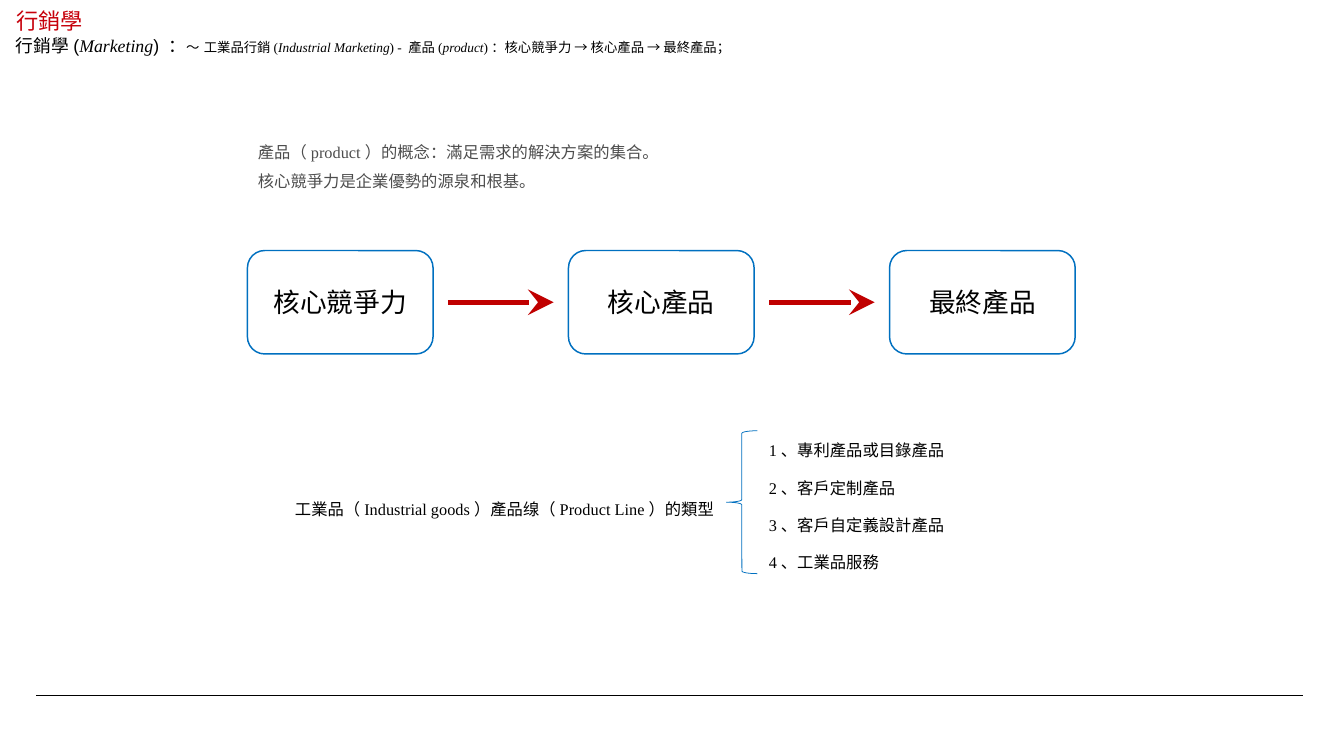
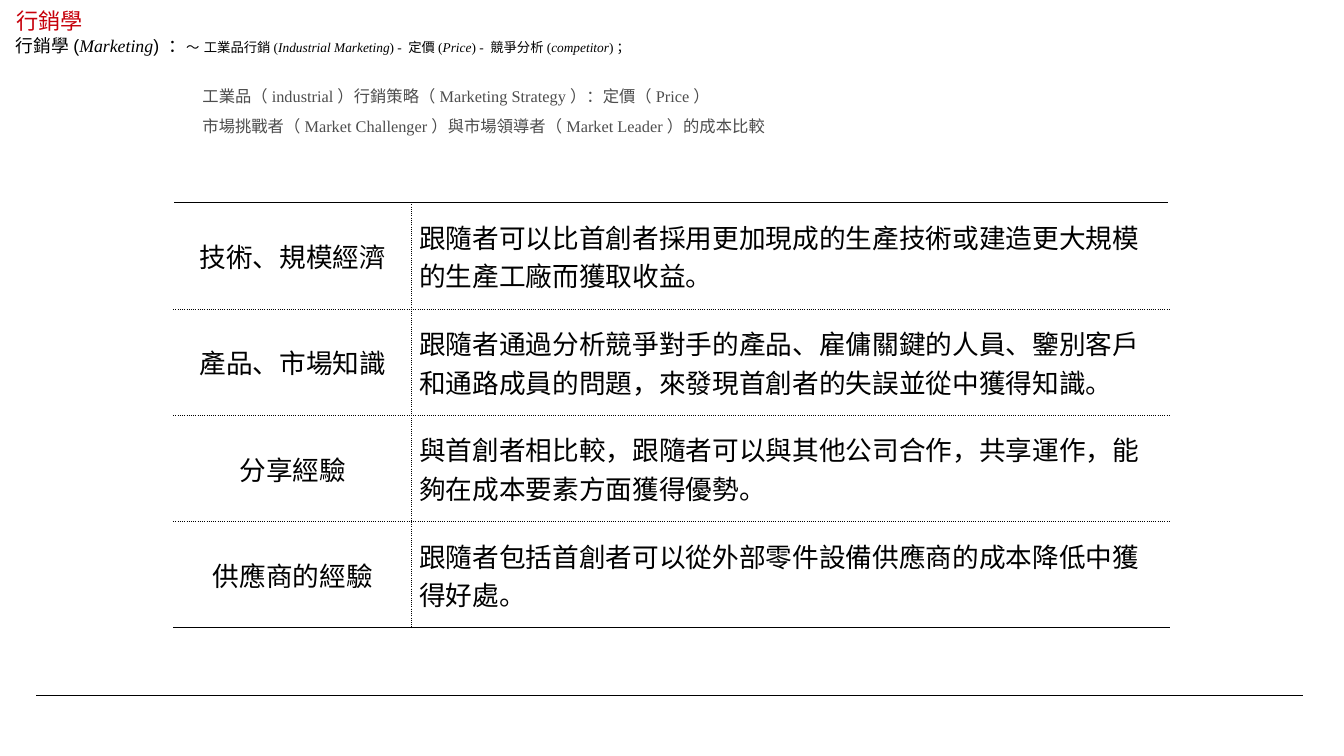
"""Build two marketing slides: a product chain and a cost comparison table."""
from dataclasses import dataclass

from lxml.etree import SubElement
from pptx import Presentation
from pptx.dml.color import RGBColor
from pptx.enum.shapes import MSO_CONNECTOR, MSO_SHAPE
from pptx.enum.text import MSO_ANCHOR, MSO_AUTO_SIZE, PP_ALIGN
from pptx.oxml.ns import qn
from pptx.presentation import Presentation as Deck
from pptx.shapes.autoshape import Shape
from pptx.shapes.connector import Connector
from pptx.slide import Slide
from pptx.table import _Cell as Cell
from pptx.text.text import Font, TextFrame
from pptx.util import Emu, Inches, Pt

COLUMNS, ROWS = 126, 70.9
CELL = Inches(0.1)

COLORS = {
    "title": "C7000B",
    "ink": "000000",
    "note": "4D4D4D",
    "outline": "0070C0",
    "arrow": "C00000",
}
SANS, SERIF, CJK = "Arial", "Times New Roman", "Noto Sans CJK SC"


@dataclass(frozen=True)
class Frame:
    """A rectangle in grid columns and rows."""
    left: float
    top: float
    width: float
    height: float

    @property
    def right(self) -> float:
        return self.left + self.width

    @property
    def middle(self) -> float:
        return self.top + self.height / 2

    def lengths(self) -> tuple[Emu, Emu, Emu, Emu]:
        return (grid(self.left), grid(self.top), grid(self.width), grid(self.height))


@dataclass(frozen=True)
class Span:
    """A run of text with its own font."""
    text: str
    size: float
    face: str
    italic: bool = False


@dataclass(frozen=True)
class Style:
    """The look of whole paragraphs."""
    size: float
    face: str
    color: str = "ink"
    align: PP_ALIGN = PP_ALIGN.LEFT
    spacing: float | None = None


@dataclass(frozen=True)
class Border:
    """One side of a table cell."""
    side: str
    points: float
    dash: str = "solid"


TITLE = Style(15, SANS, "title")
NOTE = Style(11, SERIF, "note", spacing=1.5)
ITEM = Style(11, SERIF, spacing=1.5)
ITEM_CENTERED = Style(11, SERIF, align=PP_ALIGN.CENTER, spacing=1.5)
STAGE = Style(18, CJK, align=PP_ALIGN.CENTER)
BODY = Style(18, CJK)

TITLE_FRAME = Frame(0.5, 0.7, 93.2, 2.4)
TOPIC_FRAME = Frame(0.5, 2.6, 104.3, 3.2)
TOPIC_LEAD = (
    Span("行銷學(", 12, SANS),
    Span("Marketing", 12, SERIF, True),
    Span(") ：", 12, SANS),
    Span("～", 9, SANS),
    Span(" ", 13, SANS),
)

STAGES = ("核心競爭力", "核心產品", "最終產品")
FIRST_STAGE = Frame(23.2, 23.5, 17.4, 9.7)
STAGE_STEP, ARROW_GAP = 30.1, 1.4

PRODUCT_TYPES = (
    "1、專利產品或目錄產品",
    "2、客戶定制產品",
    "3、客戶自定義設計產品",
    "4、工業品服務",
)
FIRST_TYPE = Frame(71.1, 39.9, 20.4, 3.4)
TYPE_STEP = 3.5

TABLE_FRAME = Frame(16.3, 19, 93.3, 39.9)
TABLE_COLUMNS = (22.3, 71)
COMPARISON = (
    ("技術、規模經濟", "跟隨者可以比首創者採用更加現成的生產技術或建造更大規模的生產工廠而獲取收益。"),
    ("產品、市場知識", "跟隨者通過分析競爭對手的產品、雇傭關鍵的人員、鑒別客戶和通路成員的問題，來發現首創者的失誤並從中獲得知識。"),
    ("分享經驗", "與首創者相比較，跟隨者可以與其他公司合作，共享運作，能夠在成本要素方面獲得優勢。"),
    ("供應商的經驗", "跟隨者包括首創者可以從外部零件設備供應商的成本降低中獲得好處。"),
)


def grid(cells: float) -> Emu:
    """Turn grid cells into a length."""
    return Emu(round(CELL * cells))


def color(name: str) -> RGBColor:
    """Look up a colour by name."""
    return RGBColor.from_string(COLORS[name])


def set_font(font: Font, size: float, face: str, ink: str) -> None:
    """Set size, colour and both Latin and East Asian faces."""
    font.size = Pt(size)
    font.color.rgb = color(ink)
    font.name = face
    SubElement(font._element, qn("a:ea"), typeface=CJK)


def write(frame: TextFrame, lines: tuple[str, ...], style: Style) -> None:
    """Fill a text frame with one paragraph for each line."""
    for index, line in enumerate(lines):
        para = frame.paragraphs[0] if index == 0 else frame.add_paragraph()
        para.text = line
        para.alignment = style.align
        if style.spacing:
            para.line_spacing = style.spacing
        set_font(para.font, style.size, style.face, style.color)


def add_box(page: Slide, frame: Frame) -> TextFrame:
    """Add a wrapping text box that grows with its text."""
    text_frame = page.shapes.add_textbox(*frame.lengths()).text_frame
    text_frame.word_wrap = True
    text_frame.auto_size = MSO_AUTO_SIZE.SHAPE_TO_FIT_TEXT
    return text_frame


def add_outline(page: Slide, kind: MSO_SHAPE, frame: Frame, points: float) -> Shape:
    """Add an unfilled preset shape with a blue line."""
    shape = page.shapes.add_shape(kind, *frame.lengths())
    shape.shadow.inherit = False
    shape.fill.background()
    shape.line.color.rgb = color("outline")
    shape.line.width = Pt(points)
    return shape


def add_rule(page: Slide, left: float, right: float, row: float,
             ink: str, points: float) -> Connector:
    """Add a level line without shadow."""
    rule = page.shapes.add_connector(
        MSO_CONNECTOR.STRAIGHT, grid(left), grid(row), grid(right), grid(row))
    rule.line.color.rgb = color(ink)
    rule.line.width = Pt(points)
    SubElement(rule.element.spPr, qn("a:effectLst"))
    return rule


def add_arrow(page: Slide, left: float, right: float, row: float) -> None:
    """Add a thick red arrow pointing right."""
    arrow = add_rule(page, left, right, row, "arrow", 3.5)
    SubElement(arrow.line._get_or_add_ln(), qn("a:tailEnd"),
               type="stealth", w="lg", len="lg")


def add_page(deck: Deck, topic: tuple[str, ...]) -> Slide:
    """Add a titled page; every second part of the topic is italic."""
    page = deck.slides.add_slide(deck.slide_layouts.get_by_name("Title Only"))
    title = page.shapes.title
    title.left, title.top, title.width, title.height = TITLE_FRAME.lengths()
    title.text_frame.vertical_anchor = MSO_ANCHOR.MIDDLE
    title.text_frame.auto_size = MSO_AUTO_SIZE.NONE
    write(title.text_frame, ("行銷學",), TITLE)

    para = add_box(page, TOPIC_FRAME).paragraphs[0]
    parts = tuple(Span(text, 9, SERIF, index % 2 == 1) for index, text in enumerate(topic))
    for span in TOPIC_LEAD + parts:
        run = para.add_run()
        run.text = span.text
        run.font.italic = span.italic
        set_font(run.font, span.size, span.face, "ink")
    return page


def add_chain(page: Slide) -> None:
    """Draw the stages and the arrows between them."""
    for index, name in enumerate(STAGES):
        frame = Frame(FIRST_STAGE.left + index * STAGE_STEP, FIRST_STAGE.top,
                      FIRST_STAGE.width, FIRST_STAGE.height)
        stage = add_outline(page, MSO_SHAPE.ROUNDED_RECTANGLE, frame, 1)
        stage.text_frame.vertical_anchor = MSO_ANCHOR.MIDDLE
        write(stage.text_frame, (name,), STAGE)
        if index:
            previous_right = frame.left - STAGE_STEP + frame.width
            add_arrow(page, previous_right + ARROW_GAP, frame.left - ARROW_GAP, frame.middle)


def add_product_types(page: Slide) -> None:
    """Draw the product line label, its brace and the list."""
    write(add_box(page, Frame(26.6, 45.4, 41.4, 3.4)),
          ("工業品（Industrial goods）產品缐（Product Line）的類型",), ITEM_CENTERED)
    add_outline(page, MSO_SHAPE.LEFT_BRACE, Frame(68.1, 40.4, 2.9, 13.4), 0.5)
    for index, name in enumerate(PRODUCT_TYPES):
        frame = Frame(FIRST_TYPE.left, FIRST_TYPE.top + index * TYPE_STEP,
                      FIRST_TYPE.width, FIRST_TYPE.height)
        write(add_box(page, frame), (name,), ITEM)


def set_border(cell: Cell, border: Border) -> None:
    """Draw one side of a cell."""
    line = SubElement(cell._tc.get_or_add_tcPr(), qn(f"a:ln{border.side}"),
                      w=str(Pt(border.points)))
    fill = SubElement(line, qn("a:solidFill"))
    SubElement(fill, qn("a:srgbClr"), val=COLORS["ink"])
    SubElement(line, qn("a:prstDash"), val=border.dash)


def add_comparison(page: Slide) -> None:
    """Draw the cost comparison table."""
    table = page.shapes.add_table(
        len(COMPARISON), len(TABLE_COLUMNS), *TABLE_FRAME.lengths()).table
    table.first_row = table.horz_banding = False
    for column, width in zip(table.columns, TABLE_COLUMNS):
        column.width = grid(width)
    edge, inner = (0.75, "solid"), (0.25, "sysDot")
    last = len(COMPARISON) - 1
    for row, texts in enumerate(COMPARISON):
        for column, text in enumerate(texts):
            cell = table.cell(row, column)
            cell.margin_left = cell.margin_right = grid(0.7)
            cell.margin_top = cell.margin_bottom = 0
            cell.vertical_anchor = MSO_ANCHOR.MIDDLE
            set_border(cell, Border("L" if column else "R", 0.5, "sysDot"))
            set_border(cell, Border("T", *(edge if row == 0 else inner)))
            set_border(cell, Border("B", *(edge if row == last else inner)))
            cell.fill.background()
            write(cell.text_frame, (text,), BODY if column else STAGE)


def main() -> None:
    """Build and save the deck."""
    deck = Presentation()
    deck.slide_width, deck.slide_height = grid(COLUMNS), grid(ROWS)

    chain_page = add_page(deck, (
        "工業品行銷(", "Industrial Marketing", ") - 產品(", "product",
        ")：核心競爭力 → 核心產品 → 最終產品；"))
    footer = add_rule(chain_page, 3.4, 122.2, 65.2, "ink", 0.5)
    chain_page.slide_layout.shapes.element.append(footer.element)
    write(add_box(chain_page, Frame(23.2, 11.9, 77.6, 6.2)), (
        "產品（product）的概念：滿足需求的解決方案的集合。",
        "核心競爭力是企業優勢的源泉和根基。"), NOTE)
    add_chain(chain_page)
    add_product_types(chain_page)

    price_page = add_page(deck, (
        "工業品行銷(", "Industrial Marketing", ") - 定價(", "Price",
        ") - 競爭分析(", "competitor", ")；"))
    write(add_box(price_page, Frame(18, 6.7, 90, 6.2)), (
        "工業品（industrial）行銷策略（Marketing Strategy）：定價（Price）",
        "市場挑戰者（Market Challenger）與市場領導者（Market Leader）的成本比較"), NOTE)
    add_comparison(price_page)

    deck.save("out.pptx")


if __name__ == "__main__":
    main()
